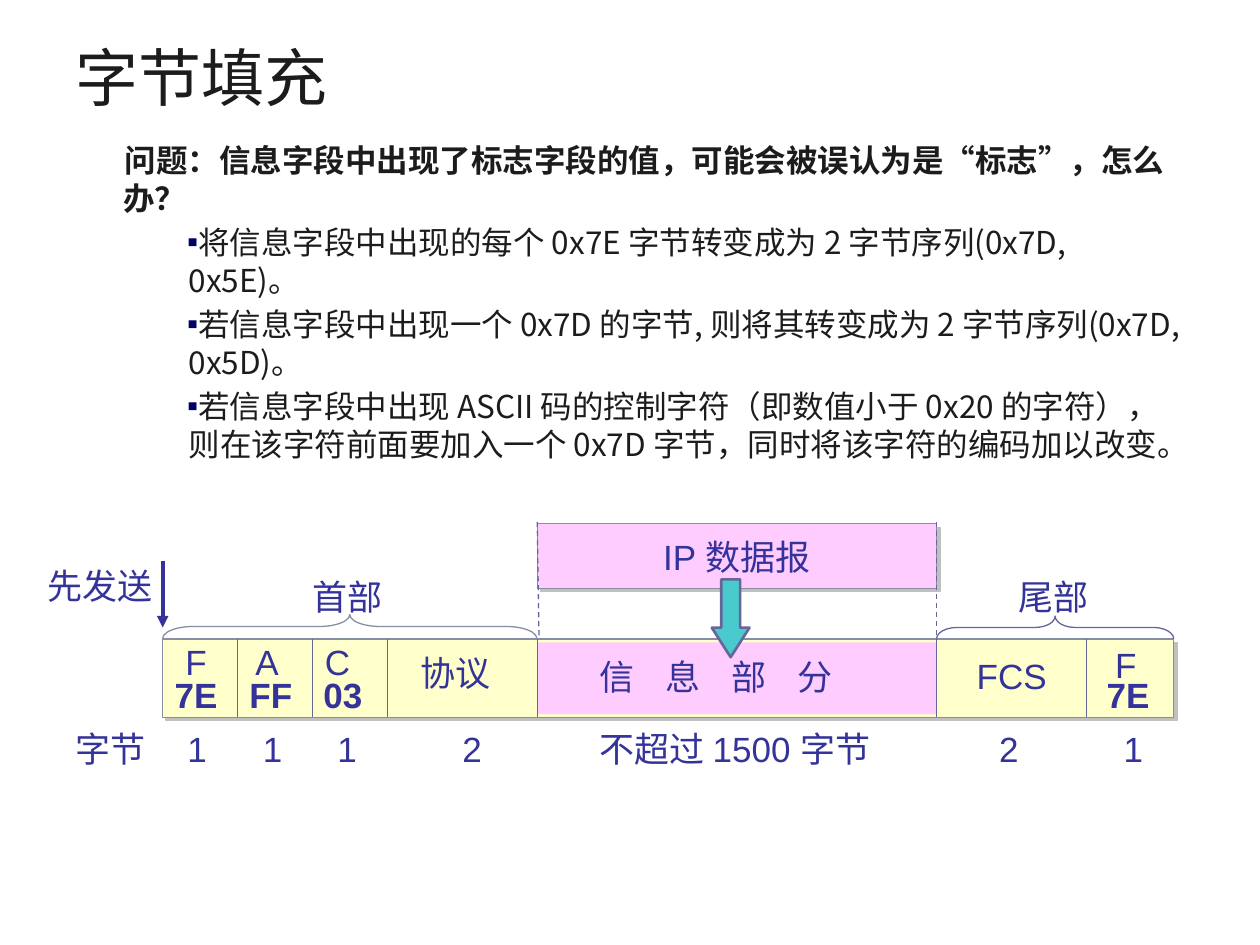
import pptx
import pptx.util
import pptx.dml.color
import pptx.enum.dml
import pptx.enum.shapes
import pptx.enum.text
import pptx.oxml
import pptx.oxml.ns

Cm = pptx.util.Cm
Pt = pptx.util.Pt
RGB = pptx.dml.color.RGBColor
Kind = pptx.enum.shapes.MSO_SHAPE
Anchor = pptx.enum.text.MSO_ANCHOR
Align = pptx.enum.text.PP_ALIGN
qn = pptx.oxml.ns.qn

INK = RGB(0x1C, 0x1C, 0x1C)
NAVY = RGB(0x33, 0x33, 0x99)
SLATE = RGB(0x66, 0x66, 0x99)
GREY = RGB(0x87, 0x8F, 0xA5)
PINK = RGB(0xFF, 0xCC, 0xFF)
CREAM = RGB(0xFF, 0xFF, 0xCC)
TEAL = RGB(0x49, 0xCA, 0xCD)
HEADING_FONT = "Noto Sans CJK SC"
LABEL_FONT = "Arial"


def element(xml):
    return pptx.oxml.parse_xml(xml.replace(
        " ", f" {pptx.oxml.ns.nsdecls('a')} ", 1))


class FrameSlide:
    """Draws styled elements on one slide."""

    def __init__(self, deck):
        self.slide = deck.slides.add_slide(deck.slide_layouts[1])
        self.shapes = self.slide.shapes

    def run(self, paragraph, text, size, font, color, bold=False):
        run = paragraph.add_run()
        run.text = text
        run.font.size = Pt(size)
        run.font.name = font
        run.font.bold = bold
        run.font.color.rgb = color
        return run

    def heading_run(self, paragraph, text, size, bold=False):
        run = self.run(paragraph, text, size, HEADING_FONT, INK, bold)
        run.font._element.append(element(f'<a:ea typeface="{HEADING_FONT}" />'))

    def place(self, holder, left, top, width, height):
        holder.left, holder.top = Cm(left), Cm(top)
        holder.width, holder.height = Cm(width), Cm(height)
        holder.text_frame.auto_size = pptx.enum.text.MSO_AUTO_SIZE.NONE
        return holder.text_frame

    def title(self, text, *box):
        frame = self.place(self.shapes.title, *box)
        frame.vertical_anchor = Anchor.MIDDLE
        frame.paragraphs[0].alignment = Align.LEFT
        self.heading_run(frame.paragraphs[0], text, 36)

    def body(self, question, answers, *box):
        frame = self.place(self.slide.placeholders[1], *box)
        for index, text in enumerate([question] + answers):
            paragraph = frame.add_paragraph() if index else frame.paragraphs[0]
            paragraph.level = 1 if index else 0
            paragraph.space_before = Pt(3.6)
            paragraph.line_spacing = 1.0
            props = paragraph._p.get_or_add_pPr()
            props.set("marL", str(Cm(2.28 if index else 0.96)))
            props.set("indent", str(Cm(-0.03 if index else 0.03)))
            if index:
                props.append(element('<a:buClr ><a:srgbClr val="000066"/></a:buClr>'))
                props.append(element('<a:buFont typeface="Arial"/>'))
                props.append(element('<a:buChar char="▪"/>'))
            else:
                props.append(element('<a:buNone />'))
            self.heading_run(paragraph, text, 18, bold=not index)

    def label(self, text, left, top, width, bold=False, wrap=False, spacing=0):
        box = self.shapes.add_textbox(Cm(left), Cm(top), Cm(width), Cm(1.1))
        box.text_frame.word_wrap = wrap
        run = self.run(box.text_frame.paragraphs[0], text, 20, LABEL_FONT, NAVY, bold)
        if spacing:
            run.font._element.set("spc", str(spacing))

    def shape(self, kind, left, top, width, height, fill=None, line=None,
              weight=0.75, adjust=(), turn=0, raised=False):
        shape = self.shapes.add_shape(kind, Cm(left), Cm(top), Cm(width), Cm(height))
        shape.shadow.inherit = False
        shape.rotation = turn
        for index, value in enumerate(adjust):
            shape.adjustments[index] = value
        if fill is None:
            shape.fill.background()
        else:
            shape.fill.solid()
            shape.fill.fore_color.rgb = fill
        if line is None:
            shape.line.fill.background()
        else:
            shape.line.color.rgb = line
            shape.line.width = Pt(weight)
        if raised:
            effects = shape._element.spPr.find(qn("a:effectLst"))
            effects.append(element(
                f'<a:outerShdw dist="{Pt(2.8)}" dir="2700000" algn="ctr" rotWithShape="0">'
                '<a:srgbClr val="C0C0C0"/></a:outerShdw>'))
        return shape

    def line(self, x1, y1, x2, y2, color=SLATE, weight=0.75, dashed=False, arrow=False):
        line = self.shapes.add_connector(
            pptx.enum.shapes.MSO_CONNECTOR.STRAIGHT, Cm(x1), Cm(y1), Cm(x2), Cm(y2))
        line.line.color.rgb = color
        line.line.width = Pt(weight)
        if dashed:
            line.line.dash_style = pptx.enum.dml.MSO_LINE.DASH
        if arrow:
            line.line._get_or_add_ln().append(element('<a:tailEnd type="triangle"/>'))
        line._element.spPr.append(element('<a:effectLst />'))


deck = pptx.Presentation()
deck.slide_width, deck.slide_height = Cm(25.4), Cm(19.05)
page = FrameSlide(deck)
page.title("字节填充", 1.27, 0.76, 22.86, 1.55)
page.body(
    "问题：信息字段中出现了标志字段的值，可能会被误认为是“标志”，怎么办？",
    ["将信息字段中出现的每个 0x7E 字节转变成为 2 字节序列(0x7D, 0x5E)。",
     "若信息字段中出现一个 0x7D 的字节, 则将其转变成为 2 字节序列(0x7D, 0x5D)。",
     "若信息字段中出现 ASCII 码的控制字符（即数值小于 0x20 的字符），"
     "则在该字符前面要加入一个 0x7D 字节，同时将该字符的编码加以改变。"],
    1.27, 2.72, 22.86, 13.28)

FRAME_LEFT, FRAME_TOP, FRAME_BOTTOM = 3.28, 12.88, 14.46
INFO_LEFT, INFO_RIGHT = 10.83, 18.88
INFO_WIDTH = INFO_RIGHT - INFO_LEFT

datagram = page.shape(Kind.RECTANGLE, INFO_LEFT, 10.56, INFO_WIDTH, 1.3,
                      PINK, GREY, raised=True)
datagram.text_frame.word_wrap = False
datagram.text_frame.vertical_anchor = Anchor.MIDDLE
datagram.text_frame.paragraphs[0].alignment = Align.CENTER
page.run(datagram.text_frame.paragraphs[0], "IP 数据报", 20, LABEL_FONT, NAVY)
page.line(INFO_LEFT, 10.52, 10.87, 13.08, dashed=True)
page.line(INFO_RIGHT, 10.52, INFO_RIGHT, 13, dashed=True)

page.shape(Kind.RECTANGLE, FRAME_LEFT, FRAME_TOP, 20.38, FRAME_BOTTOM - FRAME_TOP,
           CREAM, GREY, raised=True)
page.shape(Kind.RECTANGLE, INFO_LEFT, 12.95, INFO_WIDTH, 1.45, PINK)
for divider in (4.79, 6.3, 7.81, INFO_LEFT, INFO_RIGHT, 21.9):
    page.line(divider, FRAME_TOP, divider, FRAME_BOTTOM)

for name, left, top in (("F", 3.49, 12.78), ("A", 4.9, 12.78),
                        ("C", 6.3, 12.78), ("F", 22.23, 12.85)):
    page.label(name, left, top, 0.97)
for value, left in (("7E", 3.27), ("FF", 4.78), ("03", 6.27), ("7E", 22.06)):
    page.label(value, left, 13.45, 1.37, bold=True)
page.label("协议", 8.23, 13, 1.93)
page.label("信 息 部 分", 11.84, 13.08, 5.8, wrap=True, spacing=660)
page.label("FCS", 19.44, 13.06, 1.93)

page.label("字节", 1.27, 14.55, 1.93)
for count, left in (("1", 3.53), ("1", 5.05), ("1", 6.55), ("2", 9.07),
                    ("2", 19.89), ("1", 22.4)):
    page.label(count, left, 14.55, 0.91)
page.label("不超过 1500 字节", 11.84, 14.55, 5.99, wrap=True)

page.shape(Kind.LEFT_BRACE, 6.81, 8.86, 0.48, 7.54, line=GREY,
           adjust=(1.285, 0.5), turn=90)
page.shape(Kind.LEFT_BRACE, 21.04, 10.26, 0.46, 4.78, line=SLATE,
           adjust=(0.885, 0.5), turn=90)
for part, left in (("首部", 6.05), ("尾部", 20.29)):
    page.label(part, left, 11.48, 1.93)
page.label("先发送", 0.7, 11.25, 2.62)
page.line(FRAME_LEFT, 11.3, FRAME_LEFT, 12.65, NAVY, 2.25, arrow=True)
page.shape(Kind.DOWN_ARROW, 14.35, 11.68, 0.76, 1.57, TEAL, SLATE, 1.5,
           adjust=(0.5, 0.783))
deck.save("out.pptx")
